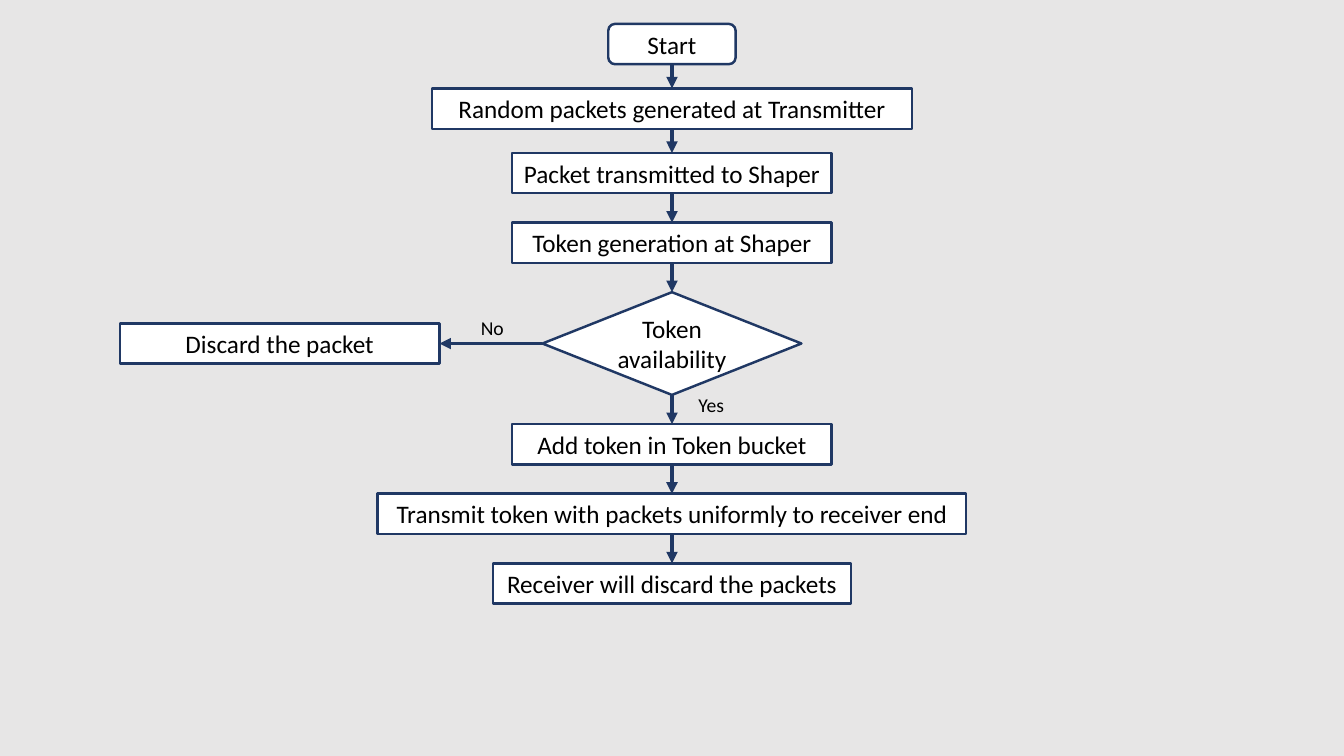
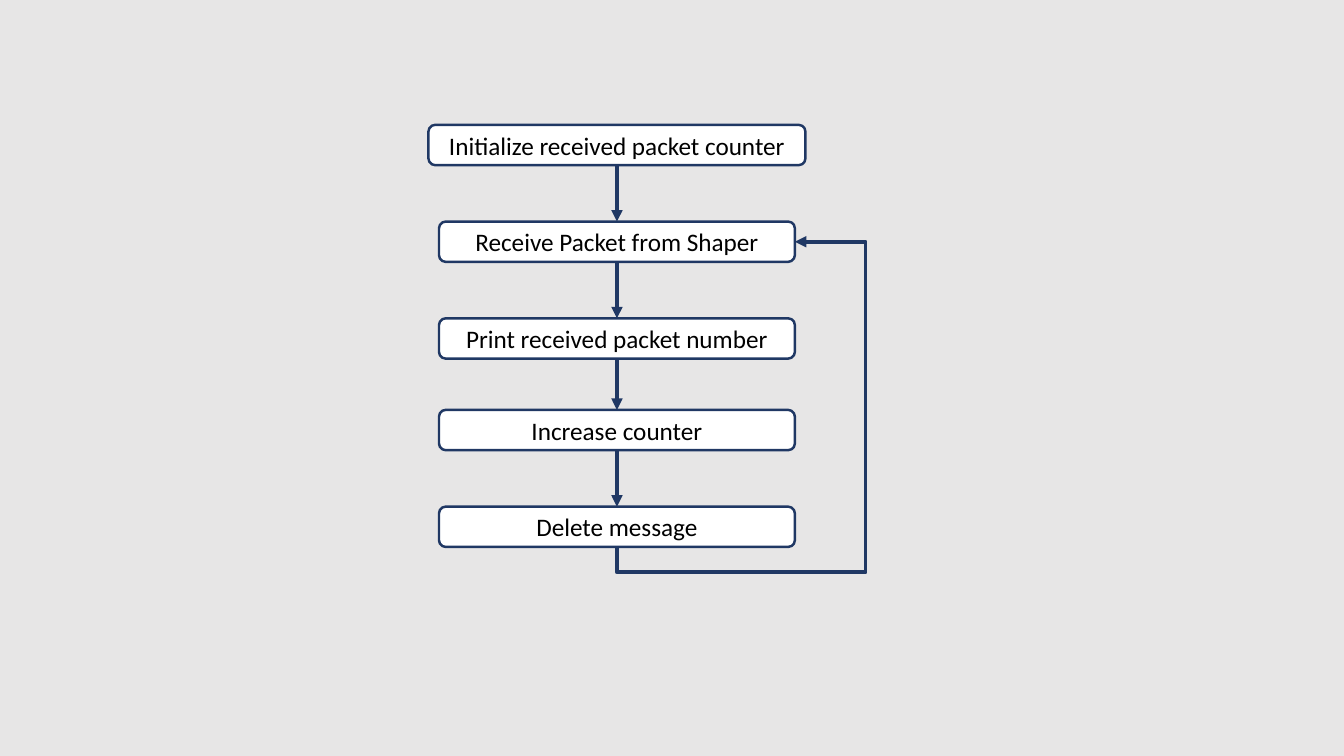
from dataclasses import dataclass

from lxml import etree
from pptx import Presentation
from pptx.dml.color import RGBColor
from pptx.enum.shapes import MSO_CONNECTOR, MSO_SHAPE
from pptx.enum.text import MSO_ANCHOR, PP_ALIGN
from pptx.oxml.ns import qn
from pptx.util import Pt

PROCESS = MSO_SHAPE.RECTANGLE
ROUNDED = MSO_SHAPE.FLOWCHART_ALTERNATE_PROCESS
DECISION = MSO_SHAPE.FLOWCHART_DECISION
STRAIGHT, ELBOW = MSO_CONNECTOR.STRAIGHT, MSO_CONNECTOR.ELBOW
TOP, LEFT, BOTTOM, RIGHT = range(4)  # connection sites


@dataclass(frozen=True)
class Theme:
    background: RGBColor = RGBColor(0xE7, 0xE6, 0xE6)
    fill: RGBColor = RGBColor(0xFF, 0xFF, 0xFF)
    line: RGBColor = RGBColor(0x20, 0x38, 0x64)
    text: RGBColor = RGBColor(0, 0, 0)
    font: str = "Calibri"
    step_size: float = 18
    label_size: float = 14
    outline: float = 1.75
    arrow: float = 2.75


THEME = Theme()
SLIDE_WIDTH, SLIDE_HEIGHT = 960, 540
STEP_HEIGHT = 28.8

# Steps: text, shape, width, height, gap above
SHAPER_CENTER = 480
SHAPER_STEPS = [
    ("Start", ROUNDED, 91, STEP_HEIGHT, 17.1),
    ("Random packets generated at Transmitter", PROCESS, 342.7, STEP_HEIGHT, 17.3),
    ("Packet transmitted to Shaper", PROCESS, 228.2, STEP_HEIGHT, 17.3),
    ("Token generation at Shaper", PROCESS, 228.2, STEP_HEIGHT, 20.9),
    ("Token availability", DECISION, 185, 73.4, 20.9),
    ("Add token in Token bucket", PROCESS, 228.2, STEP_HEIGHT, 20.9),
    ("Transmit token with packets uniformly to receiver end", PROCESS, 420.5, STEP_HEIGHT, 20.9),
    ("Receiver will discard the packets", PROCESS, 255.6, STEP_HEIGHT, 20.9),
]
DECISION_INDEX = 4
DISCARD = ("Discard the packet", PROCESS, 228.2, STEP_HEIGHT)
DISCARD_CENTER = 199.8
# Labels: text, center x, center y
BRANCH_LABELS = [("Yes", 508, 289.2), ("No", 351.7, 233.8)]

RECEIVER_CENTER = 440.7
RECEIVER_STEPS = [
    ("Initialize received packet counter", ROUNDED, 269.3, STEP_HEIGHT, 89.2),
    ("Receive Packet from Shaper", ROUNDED, 254.2, STEP_HEIGHT, 40.3),
    ("Print received packet number", ROUNDED, 254.2, STEP_HEIGHT, 40.3),
    ("Increase counter", ROUNDED, 254.2, STEP_HEIGHT, 36.6),
    ("Delete message", ROUNDED, 254.2, STEP_HEIGHT, 40.3),
]
LOOP_TARGET_INDEX = 1
LOOP_DROP, LOOP_REACH = 18.1, 50.4  # below the last step, right of the target


def set_text(shape, text, size):
    frame = shape.text_frame
    frame.text = text
    frame.word_wrap = True
    frame.vertical_anchor = MSO_ANCHOR.MIDDLE
    para = frame.paragraphs[0]
    para.alignment = PP_ALIGN.CENTER
    font = para.runs[0].font
    font.name, font.size = THEME.font, Pt(size)
    font.color.rgb = THEME.text


def add_step(page, text, kind, width, height, center_x, top):
    box = page.shapes.add_shape(
        kind, Pt(center_x - width / 2), Pt(top), Pt(width), Pt(height))
    box.shadow.inherit = False
    box.fill.solid()
    box.fill.fore_color.rgb = THEME.fill
    box.line.color.rgb = THEME.line
    box.line.width = Pt(THEME.outline)
    set_text(box, text, THEME.step_size)
    return box


def add_label(page, text, center_x, center_y, width=34, height=14):
    label = page.shapes.add_textbox(
        Pt(center_x - width / 2), Pt(center_y - height / 2), Pt(width), Pt(height))
    frame = label.text_frame
    frame.margin_left = frame.margin_right = frame.margin_top = frame.margin_bottom = 0
    set_text(label, text, THEME.label_size)


def add_arrow(page, source, source_site, target, target_site, kind=STRAIGHT):
    arrow = page.shapes.add_connector(kind, 0, 0, 0, 0)
    arrow.begin_connect(source, source_site)
    arrow.end_connect(target, target_site)
    arrow.line.color.rgb = THEME.line
    arrow.line.width = Pt(THEME.arrow)
    # Arrowhead and no shadow
    etree.SubElement(arrow.line._get_or_add_ln(), qn("a:tailEnd"), type="triangle")
    etree.SubElement(arrow.element.spPr, qn("a:effectLst"))
    return arrow


def add_loop(page, source, target):
    """Lead from below the source, around the right side, back to the target."""
    arrow = add_arrow(page, source, BOTTOM, target, RIGHT, ELBOW)
    start_x, start_y = arrow.begin_x, arrow.begin_y
    end_x, end_y = arrow.end_x, arrow.end_y
    across, rise = end_x - start_x, start_y - end_y
    middle_x, middle_y = (start_x + end_x) // 2, (start_y + end_y) // 2

    # The frame is turned a quarter, so its width is the rise
    arrow.left, arrow.top = middle_x - rise // 2, middle_y - across // 2
    arrow.width, arrow.height = rise, across
    frame = arrow.element.spPr.find(qn("a:xfrm"))
    for name, value in (("rot", "5400000"), ("flipH", "1"), ("flipV", "1")):
        frame.set(name, value)

    # Four-part bend, with both bends given as shares of the frame
    geometry = arrow.element.spPr.find(qn("a:prstGeom"))
    geometry.set("prst", "bentConnector4")
    guides = geometry.find(qn("a:avLst"))
    if guides is None:
        guides = etree.SubElement(geometry, qn("a:avLst"))
    bends = (-Pt(LOOP_DROP) / rise, 1 + Pt(LOOP_REACH) / across)
    for number, share in enumerate(bends, 1):
        etree.SubElement(guides, qn("a:gd"), name=f"adj{number}",
                         fmla=f"val {round(share * 100000)}")


def add_flow(page, steps, center_x):
    """Stack the steps downwards and join each to the next."""
    boxes, bottom = [], 0
    for text, kind, width, height, gap in steps:
        top = bottom + gap
        boxes.append(add_step(page, text, kind, width, height, center_x, top))
        bottom = top + height
    for upper, lower in zip(boxes, boxes[1:]):
        add_arrow(page, upper, BOTTOM, lower, TOP)
    return boxes


def build_shaper(page):
    boxes = add_flow(page, SHAPER_STEPS, SHAPER_CENTER)
    decision = boxes[DECISION_INDEX]
    middle = (decision.top + decision.height / 2) / Pt(1)
    discard = add_step(page, *DISCARD, DISCARD_CENTER, middle - STEP_HEIGHT / 2)
    add_arrow(page, decision, LEFT, discard, RIGHT)
    for label in BRANCH_LABELS:
        add_label(page, *label)


def build_receiver(page):
    boxes = add_flow(page, RECEIVER_STEPS, RECEIVER_CENTER)
    add_loop(page, boxes[-1], boxes[LOOP_TARGET_INDEX])


def main():
    deck = Presentation()
    deck.slide_width, deck.slide_height = Pt(SLIDE_WIDTH), Pt(SLIDE_HEIGHT)
    # Shared background
    background = deck.slide_master.background.fill
    background.solid()
    background.fore_color.rgb = THEME.background
    blank = deck.slide_layouts.get_by_name("Blank")
    for build in (build_shaper, build_receiver):
        build(deck.slides.add_slide(blank))
    deck.save("out.pptx")


if __name__ == "__main__":
    main()
